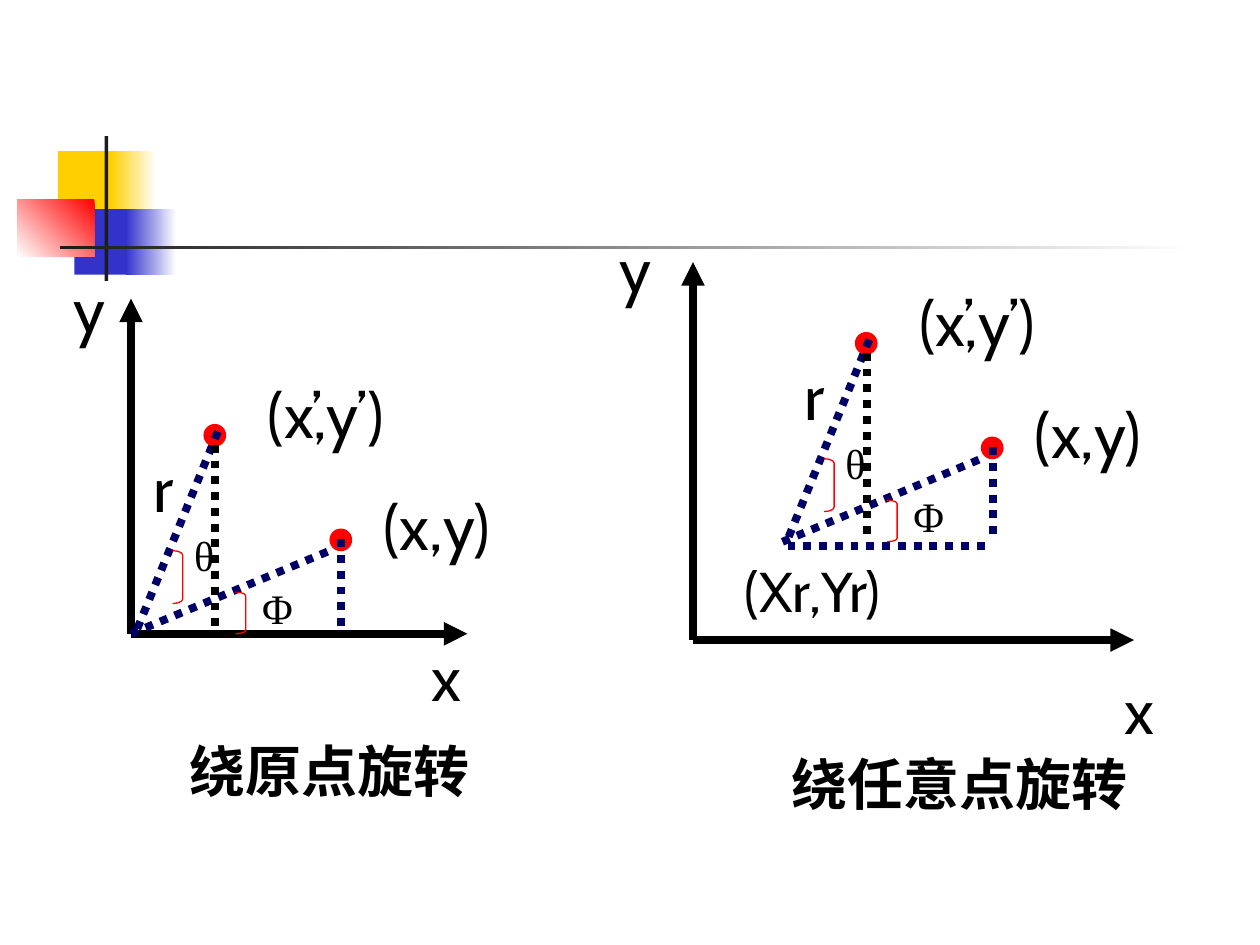
from dataclasses import dataclass

from lxml import etree
from pptx import Presentation
from pptx.dml.color import RGBColor
from pptx.enum import dml, shapes, text
from pptx.oxml.ns import qn
from pptx.util import Emu, Pt

PX = 9144  # one hundred px to the inch

BLACK = RGBColor(0x00, 0x00, 0x00)
WHITE = RGBColor(0xFF, 0xFF, 0xFF)
CHARCOAL = RGBColor(0x1C, 0x1C, 0x1C)
YELLOW = RGBColor(0xFF, 0xCF, 0x01)
BLUE = RGBColor(0x33, 0x33, 0xCC)
NAVY = RGBColor(0x00, 0x00, 0x66)
RED = RGBColor(0xFF, 0x00, 0x00)

SANS = "Cabin"
SERIF = "Times New Roman"


@dataclass(frozen=True)
class Point:
    x: int
    y: int


@dataclass(frozen=True)
class Box:
    x: int
    y: int
    width: int
    height: int

    def moved(self, by: Point) -> "Box":
        return Box(self.x + by.x, self.y + by.y, self.width, self.height)

    def emu(self) -> tuple[Emu, ...]:
        return tuple(Emu(n * PX) for n in (self.x, self.y, self.width, self.height))


@dataclass(frozen=True)
class Block:
    box: Box
    colours: tuple[RGBColor, ...]
    angle: int = 180


@dataclass(frozen=True)
class Segment:
    start: Point
    end: Point
    colour: RGBColor = NAVY

    def moved(self, by: Point) -> "Segment":
        ends = (Point(p.x + by.x, p.y + by.y) for p in (self.start, self.end))
        return Segment(*ends, self.colour)


@dataclass(frozen=True)
class Label:
    words: str
    box: Box
    size: int = 36
    font: str = SANS
    bold: bool = False


@dataclass(frozen=True)
class Diagram:
    """Axes with the rotation figure, whose parts are given from its pivot."""
    pivot: Point
    corner: Point
    axis_top: int
    axis_right: int
    labels: tuple[Label, ...]
    extra: tuple[Segment, ...] = ()


BLOCKS = (
    Block(Box(46, 120, 48, 52), (YELLOW,)),
    Block(Box(88, 120, 36, 52), (WHITE, YELLOW)),
    Block(Box(59, 166, 46, 52), (BLUE,)),
    Block(Box(100, 166, 40, 52), (WHITE, BLUE)),
    Block(Box(14, 158, 61, 46), (RED, WHITE), 225),
    Block(Box(83, 108, 3, 115), (CHARCOAL,)),
    Block(Box(48, 195, 900, 3), (WHITE, CHARCOAL)),
)

DOTS = (Box(158, -83, 17, 17), Box(58, -166, 17, 17))
DASHES = (
    Segment(Point(0, 0), Point(158, -66)),
    Segment(Point(5, -4), Point(70, -163)),
    Segment(Point(67, -150), Point(67, 0), BLACK),
    Segment(Point(167, -75), Point(167, 0)),
)
BRACKETS = (Box(83, -33, 8, 33), Box(33, -66, 8, 42))
FIGURE_LABELS = (
    Label("(x,y)", Box(195, -116, 95, 60)),
    Label("(x’,y’)", Box(55, -205, 199, 60)),
    Label("Φ", Box(104, -41, 24, 40), 24, SERIF),
    Label("θ", Box(50, -83, 16, 40), 24, SERIF),
    Label("r", Box(15, -146, 21, 60)),
)

DIAGRAMS = (
    Diagram(
        Point(104, 503), Point(104, 503), 237, 371,
        (Label("x", Box(341, 507, 27, 60)), Label("y", Box(58, 215, 26, 60))),
    ),
    Diagram(
        Point(621, 430), Point(550, 508), 208, 900,
        (
            Label("x", Box(891, 533, 27, 60)),
            Label("y", Box(491, 183, 26, 60)),
            Label("(Xr,Yr)", Box(582, 442, 126, 53), 32),
        ),
        (Segment(Point(625, 433), Point(784, 433)),),
    ),
)
CAPTIONS = (
    Label("绕原点旋转", Box(117, 585, 289, 53), 32, bold=True),
    Label("绕任意点旋转", Box(599, 595, 326, 53), 32, bold=True),
)


def add_block(page, block: Block) -> None:
    shape = page.shapes.add_shape(shapes.MSO_SHAPE.RECTANGLE, *block.box.emu())
    shape.shadow.inherit = False
    shape.line.fill.background()
    if len(block.colours) == 1:
        shape.fill.solid()
        shape.fill.fore_color.rgb = block.colours[0]
        return
    shape.fill.gradient()
    shape.fill.gradient_angle = block.angle
    for place, (stop, colour) in enumerate(zip(shape.fill.gradient_stops, block.colours)):
        stop.position = place
        stop.color.rgb = colour


def add_segment(group, segment: Segment, arrow: bool = False) -> None:
    """Draw a dotted line, or a solid one with an arrowhead at its start."""
    ends = (segment.start.x, segment.start.y, segment.end.x, segment.end.y)
    line = group.shapes.add_connector(
        shapes.MSO_CONNECTOR.STRAIGHT, *(Emu(n * PX) for n in ends))
    line.line.width = Pt(4.5)
    line.line.color.rgb = segment.colour
    if arrow:
        etree.SubElement(line.line._get_or_add_ln(), qn("a:headEnd"), type="triangle")
    else:
        line.line.dash_style = dml.MSO_LINE.ROUND_DOT
    etree.SubElement(line._element.spPr, qn("a:effectLst"))


def add_dot(group, box: Box) -> None:
    dot = group.shapes.add_shape(shapes.MSO_SHAPE.OVAL, *box.emu())
    dot.shadow.inherit = False
    dot.fill.solid()
    dot.fill.fore_color.rgb = RED
    dot.line.color.rgb = RED
    dot.line.width = Pt(0.75)


def add_bracket(group, box: Box) -> None:
    bracket = group.shapes.add_shape(shapes.MSO_SHAPE.RIGHT_BRACKET, *box.emu())
    bracket.shadow.inherit = False
    bracket.adjustments[0] = box.height / box.width / 12
    bracket.fill.background()
    bracket.line.color.rgb = RED
    bracket.line.width = Pt(0.75)


def add_label(parent, label: Label, box: Box, wrap: bool = False) -> None:
    frame = parent.shapes.add_textbox(*box.emu()).text_frame
    frame.margin_left = frame.margin_right = frame.margin_top = frame.margin_bottom = 0
    frame.word_wrap = wrap
    frame.auto_size = text.MSO_AUTO_SIZE.SHAPE_TO_FIT_TEXT
    frame.vertical_anchor = text.MSO_ANCHOR.MIDDLE
    para = frame.paragraphs[0]
    para.alignment = text.PP_ALIGN.CENTER
    span = para.add_run()
    span.text = label.words
    span.font.name = label.font
    span.font.size = Pt(label.size)
    span.font.bold = label.bold
    span.font.color.rgb = BLACK


def add_diagram(page, diagram: Diagram) -> None:
    group = page.shapes.add_group_shape()
    corner, pivot = diagram.corner, diagram.pivot
    for tip in (Point(corner.x, diagram.axis_top), Point(diagram.axis_right, corner.y)):
        add_segment(group, Segment(tip, corner, BLACK), arrow=True)
    for dot in DOTS:
        add_dot(group, dot.moved(pivot))
    for dash in (*(d.moved(pivot) for d in DASHES), *diagram.extra):
        add_segment(group, dash)
    for bracket in BRACKETS:
        add_bracket(group, bracket.moved(pivot))
    for label in diagram.labels:
        add_label(group, label, label.box)
    for label in FIGURE_LABELS:
        add_label(group, label, label.box.moved(pivot))


def main() -> None:
    deck = Presentation()
    deck.slide_width, deck.slide_height = Emu(1000 * PX), Emu(750 * PX)
    page = deck.slides.add_slide(deck.slide_layouts[6])
    for block in BLOCKS:
        add_block(page, block)
    for diagram in DIAGRAMS:
        add_diagram(page, diagram)
    for caption in CAPTIONS:
        add_label(page, caption, caption.box, wrap=True)
    deck.save("out.pptx")


if __name__ == "__main__":
    main()
